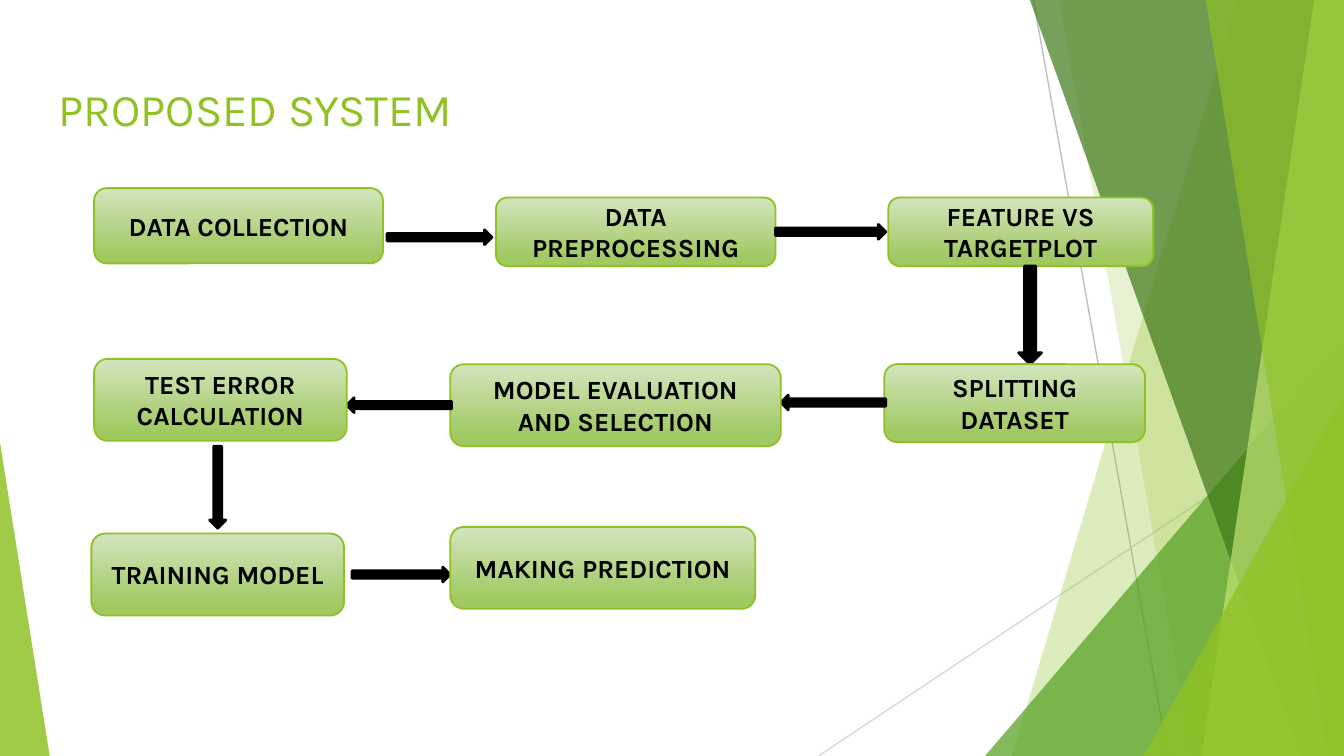
from lxml import etree
from pptx import Presentation
from pptx.dml.color import RGBColor
from pptx.enum.shapes import MSO_CONNECTOR, MSO_SHAPE as SHAPE
from pptx.enum.text import MSO_ANCHOR as ANCHOR, PP_ALIGN as ALIGN
from pptx.oxml.ns import qn
from pptx.util import Inches, Pt

W = 10
H = W * 9 / 16
COLORS = {
    "lime": "90C226", "green": "54A021", "dark": "3F7819", "pale": "C0E474",
    "box_top": "D3E5BE", "box_bottom": "A0C962", "black": "000000",
    "gray": "BFBFBF", "light_gray": "D9D9D9",
}


def rgb(name):
    return RGBColor.from_string(COLORS[name])


def write(tf, text, size=14, color="black", bold=False, align=ALIGN.LEFT,
          anchor=ANCHOR.MIDDLE, font="Karla"):
    tf.word_wrap = True
    tf.vertical_anchor = anchor
    p = tf.paragraphs[0]
    p.alignment = align
    r = p.add_run()
    r.text = text
    r.font.name, r.font.size, r.font.bold = font, Pt(size), bold
    r.font.color.rgb = rgb(color)


class Deck:
    def __init__(self):
        self.prs = Presentation()
        self.prs.slide_width, self.prs.slide_height = Inches(W), Inches(H)
        self.s = self.prs.slides.add_slide(self.prs.slide_layouts[6])

    def shape(self, kind, box):
        sp = self.s.shapes.add_shape(kind, *map(Inches, box))
        sp.shadow.inherit = False
        return sp

    def tint(self, sp, color, alpha):
        """Borderless fill with an opacity in percent."""
        sp.shadow.inherit = False
        sp.fill.solid()
        sp.fill.fore_color.rgb = rgb(color)
        clr = sp.fill._xPr.find(qn("a:solidFill"))[0]
        etree.SubElement(clr, qn("a:alpha"), val=str(alpha * 1000))
        sp.line.fill.background()

    def line(self, start, end, color):
        c = self.s.shapes.add_connector(
            MSO_CONNECTOR.STRAIGHT, *map(Inches, start + end))
        c.line.color.rgb, c.line.width = rgb(color), Pt(0.75)
        etree.SubElement(c._element.spPr, qn("a:effectLst"))

    def band(self, top_x, bottom_x, color, alpha):
        """Slanted band that reaches the right edge of the slide."""
        fb = self.s.shapes.build_freeform(Inches(top_x), Inches(-0.01))
        corners = [(W, -0.01), (W, H), (bottom_x, H)]
        fb.add_line_segments([(Inches(x), Inches(y)) for x, y in corners])
        self.tint(fb.convert_to_shape(), color, alpha)

    def triangle(self, left, top, width, apex, color, alpha):
        """Right triangle that stands on the bottom edge of the slide."""
        sp = self.shape(SHAPE.ISOSCELES_TRIANGLE, (left, top, width, H - top))
        sp.adjustments[0] = apex
        self.tint(sp, color, alpha)

    def title(self, text, box):
        tf = self.s.shapes.add_textbox(*map(Inches, box)).text_frame
        tf.margin_top = tf.margin_bottom = Inches(0.1)
        write(tf, text, size=24.3, color="lime")

    def step(self, text, box):
        sp = self.shape(SHAPE.ROUNDED_RECTANGLE, box)
        sp.fill.gradient()
        sp.fill.gradient_angle = 270
        stops = [(0, "box_top"), (0.88, "box_bottom")]
        for stop, (pos, color) in zip(sp.fill.gradient_stops, stops):
            stop.position, stop.color.rgb = pos, rgb(color)
        sp.line.color.rgb, sp.line.width = rgb("lime"), Pt(1)
        write(sp.text_frame, text, bold=True, align=ALIGN.CENTER)

    def arrow(self, kind, box):
        sp = self.shape(kind, box)
        sp.fill.solid()
        sp.fill.fore_color.rgb = sp.line.color.rgb = rgb("black")
        sp.line.width = Pt(1.5)


def main():
    deck = Deck()

    # Background facets
    deck.line((7.69, 0), (8.69, H), "gray")
    deck.line((W, 3.02), (6.09, H), "light_gray")
    deck.band(9.21, 7.53, "lime", 30)
    deck.band(7.88, 8.87, "lime", 20)
    deck.triangle(7.33, 2.5, 2.67, 1, "green", 72)
    deck.band(7.66, 9.68, "dark", 70)
    deck.band(9.78, 8.94, "pale", 70)
    deck.band(8.97, 9.88, "lime", 65)
    deck.triangle(8.51, 2.94, 1.49, 1, "lime", 80)
    deck.triangle(0, 3.29, 0.37, 0, "lime", 85)

    deck.title("PROPOSED SYSTEM", (0.34, 0.49, 9.32, 0.63))

    # Flow: each step with the arrow that leaves it
    right, left, down = SHAPE.RIGHT_ARROW, SHAPE.LEFT_ARROW, SHAPE.DOWN_ARROW
    flow = [
        ("DATA COLLECTION", (0.7, 1.4, 2.15, 0.56),
         right, (2.88, 1.71, 0.78, 0.11)),
        ("DATA PREPROCESSING", (3.69, 1.47, 2.08, 0.51),
         right, (5.77, 1.67, 0.82, 0.11)),
        ("FEATURE VS TARGETPLOT", (6.61, 1.47, 1.97, 0.51),
         down, (7.58, 1.98, 0.17, 0.73)),
        ("SPLITTING DATASET", (6.58, 2.71, 1.94, 0.58),
         left, (5.81, 2.94, 0.78, 0.11)),
        ("MODEL EVALUATION AND SELECTION", (3.35, 2.71, 2.46, 0.61),
         left, (2.58, 2.96, 0.78, 0.11)),
        ("TEST ERROR CALCULATION", (0.7, 2.67, 1.88, 0.61),
         down, (1.56, 3.32, 0.12, 0.61)),
        ("TRAINING MODEL", (0.68, 3.97, 1.88, 0.61),
         right, (2.62, 4.22, 0.73, 0.11)),
        ("MAKING PREDICTION", (3.35, 3.92, 2.27, 0.61), None, None),
    ]
    for text, box, kind, arrow_box in flow:
        deck.step(text, box)
        if kind:
            deck.arrow(kind, arrow_box)

    deck.prs.save("out.pptx")


if __name__ == "__main__":
    main()
